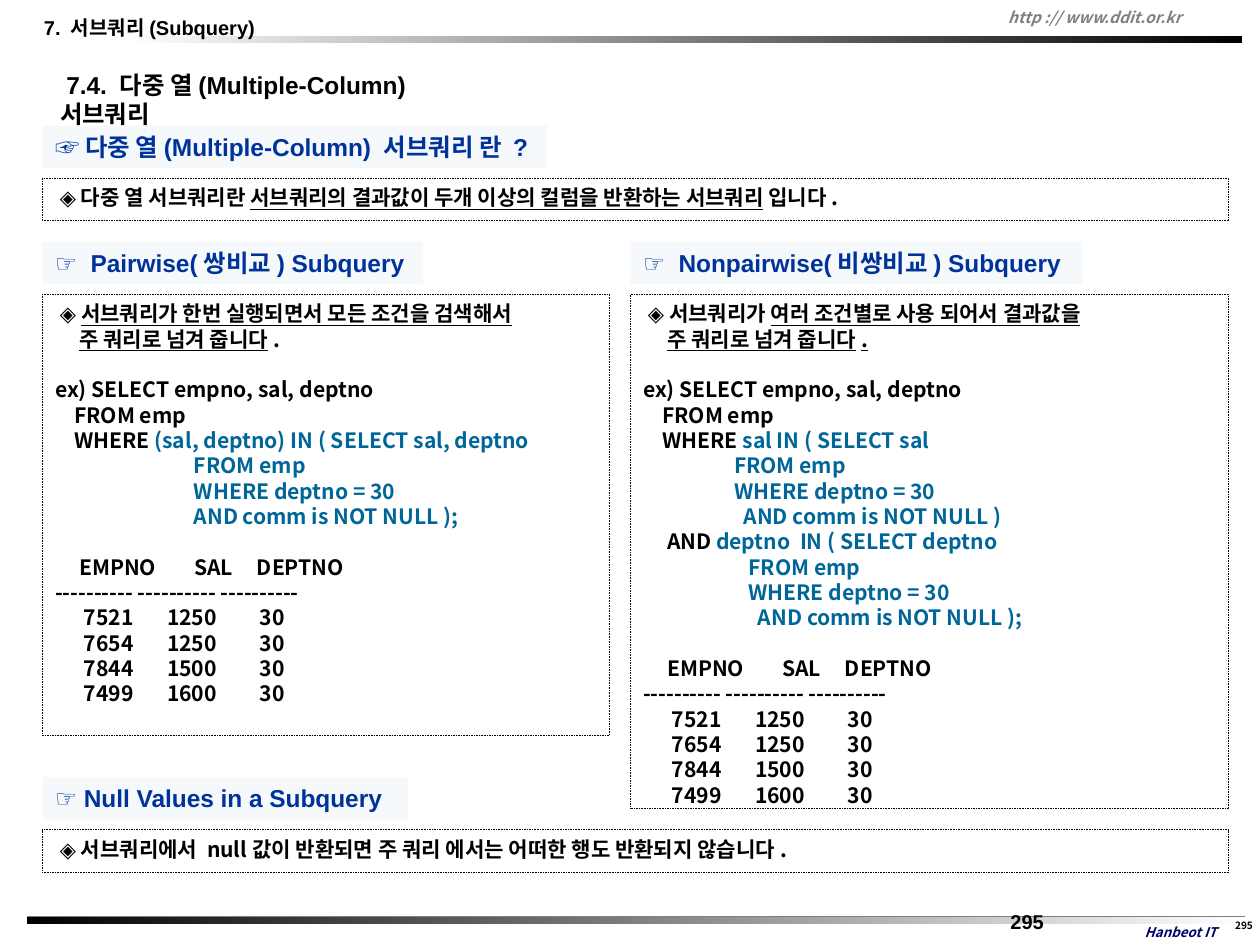
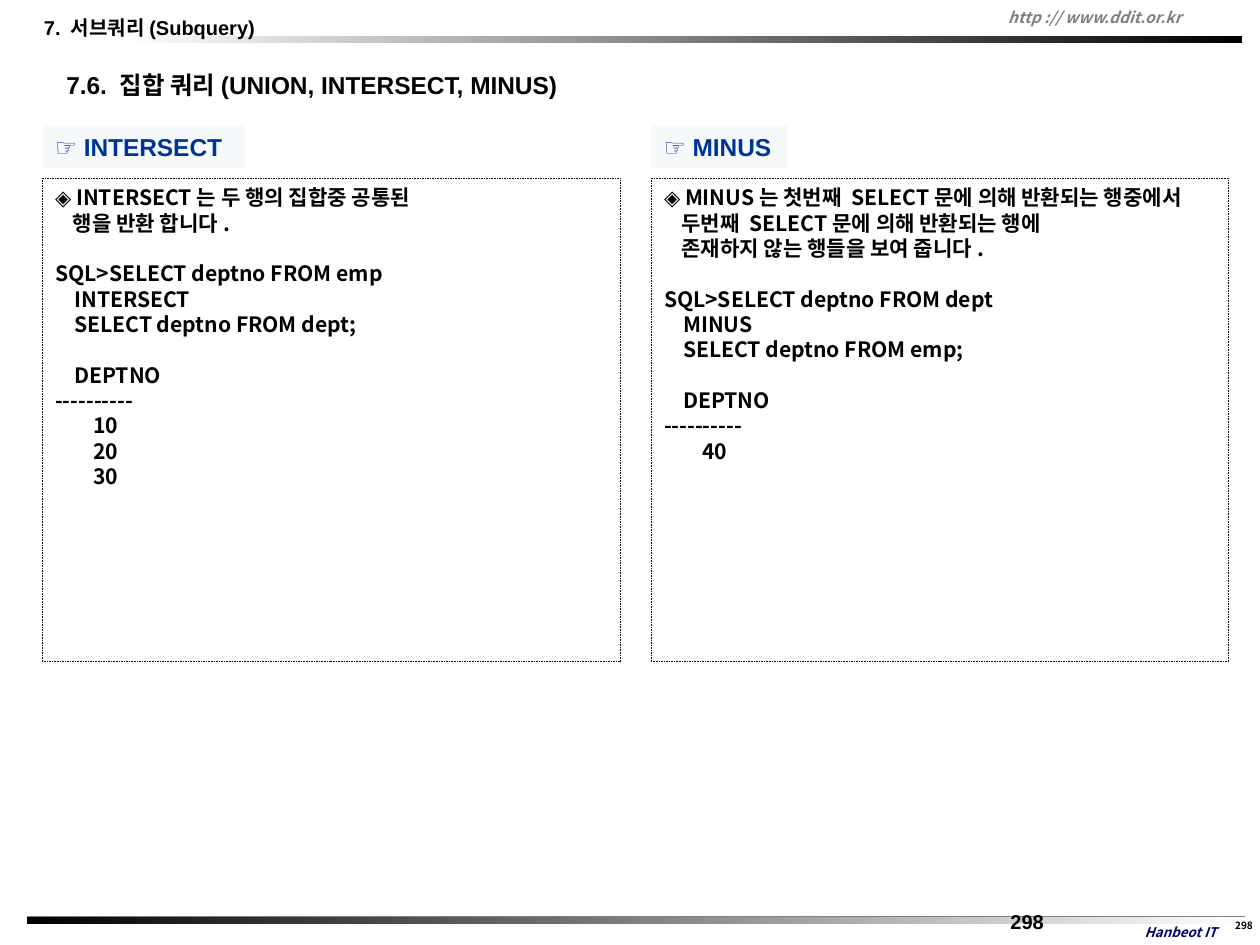
from dataclasses import dataclass
from typing import Any

import pptx
import pptx.dml.color
import pptx.enum.dml
import pptx.enum.shapes
import pptx.enum.text
import pptx.oxml
import pptx.oxml.ns
import pptx.util
from pptx.util import Inches

COLORS = {
    "black": "000000", "white": "FFFFFF", "gray": "808080", "navy": "000066",
    "heading": "003399", "tint": "F6F9FC", "query": "006699",
}
KOREAN = "Noto Sans CJK KR"
LINE_RATIO = 1.2
LEFT, RIGHT = 0.53, 15.36
HEADING_HEIGHT = 0.53
PANEL_OFFSET = 0.66


@dataclass(frozen=True)
class Style:
    size: int
    font: str = KOREAN
    color: str = "black"
    italic: bool = False


@dataclass(frozen=True)
class Span:
    text: str
    color: str = ""
    underline: bool = False


@dataclass(frozen=True)
class Line:
    spans: tuple[Span, ...]
    gap: bool = False
    margin: float = 0
    indent: float = 0
    align: str = "LEFT"


@dataclass(frozen=True)
class Box:
    left: float
    top: float
    width: float
    height: float
    inset: tuple[float, float, float, float] = (0.16, 0.08, 0, 0.08)
    anchor: str = "TOP"


@dataclass(frozen=True)
class Section:
    left: float
    top: float
    heading_width: float
    heading: str
    width: float
    height: float
    lines: list[Line]


@dataclass(frozen=True)
class Page:
    number: str
    title: str
    title_width: float
    title_margin: float
    sections: list[Section]


HEADER = Style(18, "Arial")
TITLE = Style(22, "Arial")
HEADING = Style(22, "Arial", "heading")
BODY = Style(19)
SMALL = Style(9)
SITE = Style(14, color="gray", italic=True)
BRAND = Style(12, color="navy", italic=True)


def plain(text: str, **options: Any) -> Line:
    return Line((Span(text),), **options)


def code(text: str, query: str = "", gap: bool = False) -> Line:
    return Line((Span(text), Span(query, "query")) if query else (Span(text),), gap)


def note(*spans: Span) -> Line:
    return Line(spans, margin=0.3, indent=-0.24)


def rgb(name: str) -> pptx.dml.color.RGBColor:
    return pptx.dml.color.RGBColor.from_string(COLORS[name])


def add_span(para: Any, text: str, style: Style, part: Span) -> None:
    span = para.add_run()
    span.text = text
    values = {
        "name": style.font, "size": pptx.util.Pt(style.size), "bold": True,
        "italic": style.italic, "underline": part.underline,
    }
    for name, value in values.items():
        setattr(span.font, name, value)
    span.font.color.rgb = rgb(part.color or style.color)
    east_asian = pptx.oxml.parse_xml(
        f'<a:ea {pptx.oxml.ns.nsdecls("a")} typeface="{KOREAN}"/>')
    span.font._element.append(east_asian)


def write(shape: Any, box: Box, lines: list[Line], style: Style) -> None:
    frame = shape.text_frame
    left, top, right, bottom = box.inset
    values = {
        "word_wrap": True, "auto_size": pptx.enum.text.MSO_AUTO_SIZE.NONE,
        "vertical_anchor": pptx.enum.text.MSO_ANCHOR[box.anchor],
        "margin_left": Inches(left), "margin_top": Inches(top),
        "margin_right": Inches(right), "margin_bottom": Inches(bottom),
    }
    for name, value in values.items():
        setattr(frame, name, value)
    pitch = pptx.util.Pt(style.size * LINE_RATIO)
    for index, line in enumerate(lines):
        para = frame.add_paragraph() if index else frame.paragraphs[0]
        properties = para._p.get_or_add_pPr()
        properties.set("marL", str(Inches(line.margin)))
        properties.set("indent", str(Inches(line.indent)))
        para.alignment = pptx.enum.text.PP_ALIGN[line.align]
        para.line_spacing = pitch
        para.space_before = pitch if line.gap else pptx.util.Pt(0)
        for part in line.spans:
            for row, text in enumerate(part.text.split("\n")):
                if row:
                    para.add_line_break()
                if text:
                    add_span(para, text, style, part)


def bounds(box: Box) -> tuple[int, int, int, int]:
    return Inches(box.left), Inches(box.top), Inches(box.width), Inches(box.height)


def add_rectangle(slide: Any, box: Box) -> Any:
    shape = slide.shapes.add_shape(
        pptx.enum.shapes.MSO_SHAPE.RECTANGLE, *bounds(box))
    shape.shadow.inherit = False
    return shape


def add_label(slide: Any, box: Box, line: Line, style: Style) -> None:
    write(slide.shapes.add_textbox(*bounds(box)), box, [line], style)


def add_band(slide: Any, box: Box, first: str, last: str) -> None:
    band = add_rectangle(slide, box)
    band.line.fill.background()
    band.fill.gradient()
    band.fill.gradient_angle = 0
    for stop, name in zip(band.fill.gradient_stops, (first, last)):
        stop.color.rgb = rgb(name)


def add_frame(slide: Any, number: str) -> None:
    rule = slide.shapes.add_connector(
        pptx.enum.shapes.MSO_CONNECTOR.STRAIGHT,
        Inches(0.34), Inches(11.46), Inches(15.56), Inches(11.46))
    rule.line.color.rgb = rgb("gray")
    rule.line.width = pptx.util.Pt(1.5)
    rule._element.spPr.append(pptx.oxml.parse_xml(
        f'<a:effectLst {pptx.oxml.ns.nsdecls("a")}/>'))
    add_band(slide, Box(0.34, 11.46, 15.22, 0.09), "black", "white")
    add_band(slide, Box(1.52, 0.45, 14, 0.09), "white", "black")
    inset = (0.1, 0.05, 0.1, 0.05)
    add_label(slide, Box(13.81, 11.48, 1.9, 0.33, inset, "MIDDLE"),
              plain("Hanbeot IT", align="CENTER"), BRAND)
    add_label(slide, Box(12.5, 0.02, 3.21, 0.38, inset, "MIDDLE"),
              plain("http :// www.ddit.or.kr"), SITE)
    add_label(slide, Box(15.41, 11.44, 0.28, 0.31, (0, 0.05, 0, 0.05)),
              plain(number, align="CENTER"), SMALL)
    add_label(slide, Box(12.47, 11.29, 3.28, 0.79), plain(number), HEADER)
    add_label(slide, Box(0.33, 0.11, 3.06, 0.46),
              plain("7. 서브쿼리(Subquery)", indent=0.06), HEADER)


def add_section(slide: Any, section: Section) -> None:
    label = Box(section.left, section.top, section.heading_width, HEADING_HEIGHT)
    heading = add_rectangle(slide, label)
    heading.fill.solid()
    heading.fill.fore_color.rgb = rgb("tint")
    heading.line.fill.background()
    write(heading, label, [plain(section.heading)], HEADING)
    area = Box(section.left, section.top + PANEL_OFFSET, section.width, section.height)
    panel = add_rectangle(slide, area)
    panel.fill.background()
    panel.line.color.rgb = rgb("black")
    panel.line.width = pptx.util.Pt(0.75)
    panel.line.dash_style = pptx.enum.dml.MSO_LINE.ROUND_DOT
    write(panel, area, section.lines, BODY)


def add_page(deck: Any, page: Page) -> None:
    slide = deck.slides.add_slide(deck.slide_layouts[5])
    add_frame(slide, page.number)
    box = Box(0.59, 0.79, page.title_width, 0.53, (0.16, 0.08, page.title_margin, 0.08))
    title = slide.shapes.title
    title.left, title.top, title.width, title.height = bounds(box)
    write(title, box, [plain(page.title, indent=0.08)], TITLE)
    for section in page.sections:
        add_section(slide, section)


RESULT = [
    code("     EMPNO        SAL     DEPTNO", gap=True),
    code("---------- ---------- ----------"),
    *(code(f"{employee:>10}{salary:>11}{30:>11}")
      for employee, salary in ((7521, 1250), (7654, 1250), (7844, 1500), (7499, 1600))),
]
SELECT = [code("ex) SELECT empno, sal, deptno", gap=True), code("    FROM emp")]


def subquery(depth: int, shift: int, end: str) -> list[Line]:
    rows = ((depth, "FROM emp"), (depth, "WHERE deptno = 30"),
            (depth + shift, f"AND comm is NOT NULL {end}"))
    return [Line((Span(" " * spaces + text, "query"),)) for spaces, text in rows]


PAIRWISE = [
    note(Span("◈ "), Span("서브쿼리가 한번 실행되면서 모든 조건을 검색해서\n주 쿼리로 넘겨 줍니다", underline=True),
         Span(".")),
    *SELECT,
    code("    WHERE ", "(sal, deptno) IN ( SELECT sal, deptno"),
    *subquery(29, 0, ");"),
    *RESULT,
]
NONPAIRWISE = [
    note(Span("◈ 서브쿼리가 "),
         Span("여러 조건별로 사용 되어서 결과값을\n주 쿼리로 넘겨 줍니다.", underline=True)),
    *SELECT,
    code("    WHERE ", "sal IN ( SELECT sal"),
    *subquery(19, 2, ")"),
    code("     AND ", "deptno  IN ( SELECT deptno"),
    *subquery(22, 2, ");"),
    *RESULT,
]
DEFINITION = [note(
    Span("◈ 다중 열 서브쿼리란 "),
    Span("서브쿼리의 결과값이 두개 이상의 컬럼을 반환하는 서브쿼리", underline=True),
    Span(" 입니다."))]
NULLS = [note(Span("◈ 서브쿼리에서 null값이 반환되면 주 쿼리 에서는 어떠한 행도 반환되지 않습니다."))]


def set_query(text: str, operator: str, tables: tuple[str, str], values: list[int]) -> list[Line]:
    return [
        plain(text, margin=0.22, indent=-0.22),
        code(f"SQL>SELECT deptno FROM {tables[0]}", gap=True),
        code(f"    {operator}"),
        code(f"    SELECT deptno FROM {tables[1]};"),
        code("    DEPTNO", gap=True),
        code("----------"),
        *(code(f"{value:>10}") for value in values),
    ]


INTERSECT = set_query("◈ INTERSECT는 두 행의 집합중 공통된\n행을 반환 합니다.",
                      "INTERSECT", ("emp", "dept"), [10, 20, 30])
MINUS = set_query(
    "◈ MINUS는 첫번째 SELECT문에 의해 반환되는 행중에서\n두번째 SELECT문에 의해 반환되는 행에\n"
    "존재하지 않는 행들을 보여 줍니다.", "MINUS", ("dept", "emp"), [40])
FULL = RIGHT - LEFT
HALF = 7.22
PAGES = [
    Page("295", "7.4. 다중 열(Multiple-Column) 서브쿼리", 5.93, 0.4, [
        Section(LEFT, 1.57, 6.3, "☞ 다중 열(Multiple-Column) 서브쿼리 란 ?", FULL, 0.53, DEFINITION),
        Section(LEFT, 3.02, 4.76, "☞  Pairwise(쌍비교) Subquery", 7.09, 5.51, PAIRWISE),
        Section(7.88, 3.02, 5.65, "☞  Nonpairwise(비쌍비교) Subquery", 7.48, 6.43, NONPAIRWISE),
        Section(LEFT, 9.71, 4.57, "☞ Null Values in a Subquery", FULL, 0.53, NULLS),
    ]),
    Page("298", "7.6. 집합 쿼리(UNION, INTERSECT, MINUS)", 6.56, 0, [
        Section(LEFT, 1.57, 2.54, "☞ INTERSECT", HALF, 6.04, INTERSECT),
        Section(RIGHT - HALF, 1.57, 1.7, "☞ MINUS", HALF, 6.04, MINUS),
    ]),
]


def main() -> None:
    deck = pptx.Presentation()
    deck.slide_width, deck.slide_height = Inches(15.75), Inches(11.81)
    for page in PAGES:
        add_page(deck, page)
    deck.save("out.pptx")


if __name__ == "__main__":
    main()
